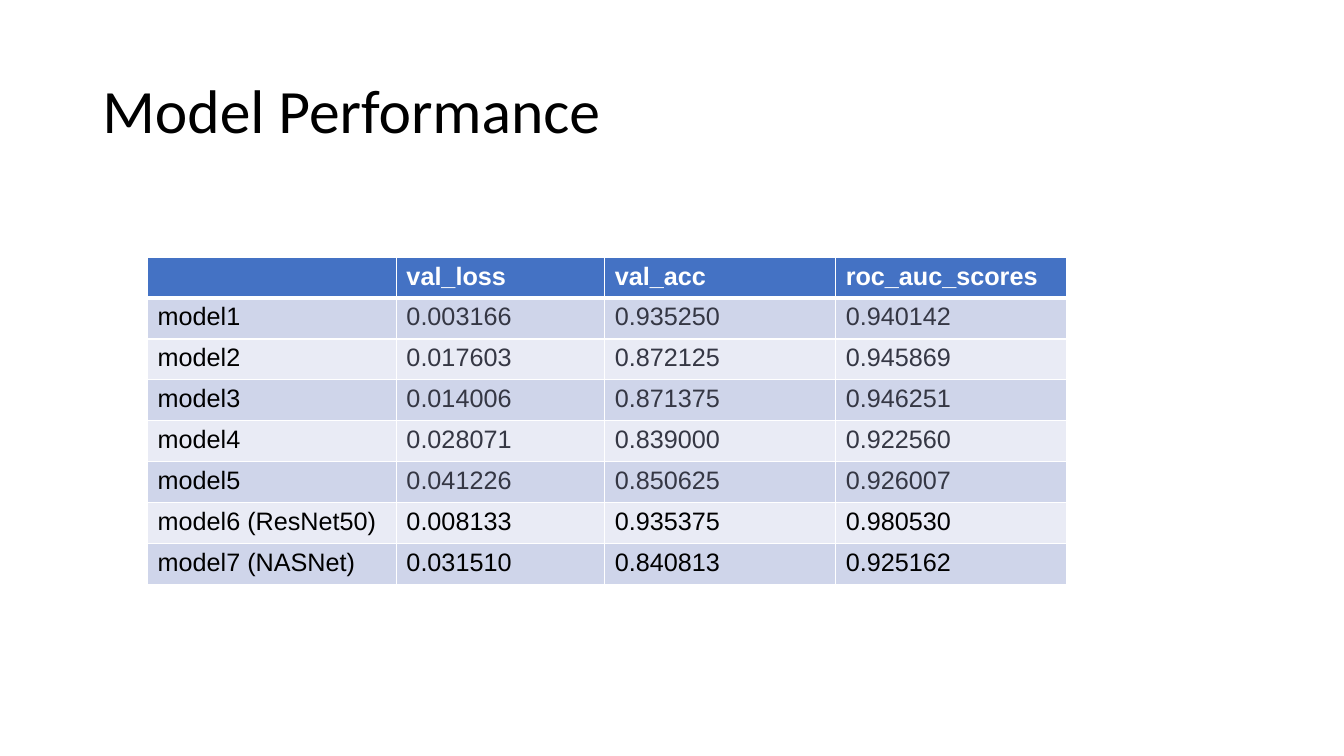
from lxml import etree
from pptx import Presentation
from pptx.dml.color import RGBColor
from pptx.enum.text import MSO_ANCHOR
from pptx.oxml.ns import qn
from pptx.util import Cm, Pt

MIDDLE = MSO_ANCHOR.MIDDLE
WHITE = RGBColor(0xFF, 0xFF, 0xFF)
BLACK = RGBColor(0x00, 0x00, 0x00)
SLATE = RGBColor(0x35, 0x37, 0x44)
BLUE = RGBColor(0x44, 0x72, 0xC4)
BANDS = [RGBColor(0xCF, 0xD5, 0xEA), RGBColor(0xE9, 0xEB, 0xF5)]

# Content
TITLE = "Model Performance"
HEADER = ("", "val_loss", "val_acc", "roc_auc_scores")
CUSTOM_MODELS = [
    ("model1", "0.003166", "0.935250", "0.940142"),
    ("model2", "0.017603", "0.872125", "0.945869"),
    ("model3", "0.014006", "0.871375", "0.946251"),
    ("model4", "0.028071", "0.839000", "0.922560"),
    ("model5", "0.041226", "0.850625", "0.926007"),
]
PRETRAINED_MODELS = [
    ("model6 (ResNet50)", "0.008133", "0.935375", "0.980530"),
    ("model7 (NASNet)", "0.031510", "0.840813", "0.925162"),
]
ROWS = [HEADER] + CUSTOM_MODELS + PRETRAINED_MODELS
COL_WIDTHS = [Cm(6.27), Cm(5.25), Cm(5.82), Cm(5.82)]
ROW_HEIGHT = Cm(1.03)


def style_run(r, font, size, color, bold=False):
    r.font.name = font
    r.font.size = Pt(size)
    r.font.color.rgb = color
    r.font.bold = bold


def set_borders(cell, top=1, bottom=1):
    tc_pr = cell._tc.get_or_add_tcPr()
    sides = {"a:lnL": 1, "a:lnR": 1, "a:lnT": top, "a:lnB": bottom}
    for i, (tag, width) in enumerate(sides.items()):
        ln = etree.Element(qn(tag), w=str(Pt(width)))
        fill = etree.SubElement(ln, qn("a:solidFill"))
        etree.SubElement(fill, qn("a:srgbClr"), val=str(WHITE))
        tc_pr.insert(i, ln)


prs = Presentation()
prs.slide_width, prs.slide_height = Cm(33.87), Cm(19.05)
s = prs.slides.add_slide(prs.slide_layouts[6])

# Title
sp = s.shapes.add_textbox(Cm(2.33), Cm(1.01), Cm(29.21), Cm(3.68))
tf = sp.text_frame
tf.word_wrap = True
tf.vertical_anchor = MIDDLE
p = tf.paragraphs[0]
p.text = TITLE
p.line_spacing = 0.9
style_run(p.runs[0], "Calibri", 44, BLACK)

# Score table
table = s.shapes.add_table(len(ROWS), len(HEADER), Cm(3.72), Cm(6.48),
                           sum(COL_WIDTHS), ROW_HEIGHT * len(ROWS)).table
for column, width in zip(table.columns, COL_WIDTHS):
    column.width = width
for i, row in enumerate(ROWS):
    table.rows[i].height = ROW_HEIGHT
    is_header = i == 0
    for j, text in enumerate(row):
        cell = table.cell(i, j)
        cell.fill.solid()
        cell.fill.fore_color.rgb = BLUE if is_header else BANDS[(i - 1) % 2]
        set_borders(cell, top=3 if i == 1 else 1, bottom=3 if is_header else 1)
        cell.text = text
        if is_header:
            color = WHITE
        elif j > 0 and row in CUSTOM_MODELS:
            color = SLATE
        else:
            color = BLACK
        for r in cell.text_frame.paragraphs[0].runs:
            style_run(r, "Arial", 18, color, is_header)

prs.save("out.pptx")
